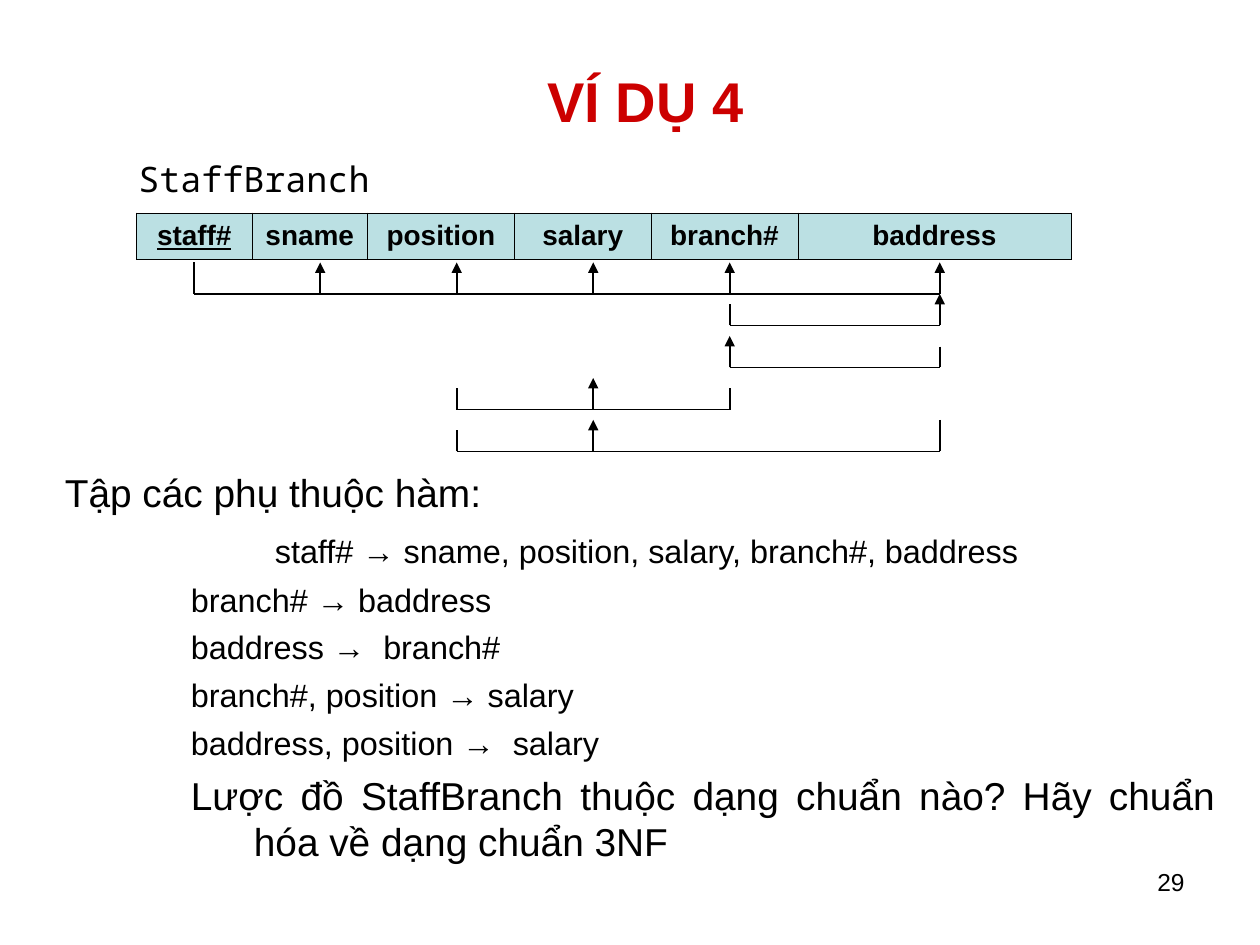
from lxml import etree
from pptx import Presentation
from pptx.dml.color import RGBColor
from pptx.enum.shapes import MSO_CONNECTOR
from pptx.enum.text import MSO_ANCHOR, PP_ALIGN
from pptx.oxml import parse_xml
from pptx.oxml.ns import nsdecls, qn
from pptx.util import Pt

BLACK, RED, TEAL = "000000", "CC0000", "BBE0E3"

# Attribute name, column width and the x where its dependency lines meet it
ATTRIBUTES = [
    ("staff#", 66, 111),
    ("sname", 66, 183),
    ("position", 84, 261),
    ("salary", 78, 339),
    ("branch#", 84, 417),
    ("baddress", 156, 537),
]
ANCHOR_X = {name: x for name, _, x in ATTRIBUTES}

# Base line y, determinants with their tick heights, dependent attributes
DEPENDENCIES = [
    (168, {"staff#": 18}, ["sname", "position", "salary", "branch#", "baddress"]),
    (186, {"branch#": 12}, ["baddress"]),
    (210, {"baddress": 12}, ["branch#"]),
    (234, {"position": 12, "branch#": 12}, ["salary"]),
    (258, {"position": 12, "baddress": 18}, ["salary"]),
]
ARROW_HEIGHT = 18

# Paragraph formats: text size, left margin, first-line indent, spacing, alignment
HEADING = dict(size=22.2, margin=48, indent=-48, before=3, after=3)
FIRST_RULE = dict(size=18.5, margin=120, before=6.5, after=3)
RULE = dict(size=18.5, margin=108, indent=-36, before=2.5, after=2.5, align=PP_ALIGN.JUSTIFY)
QUESTION = {**RULE, "size": 22.2, "before": 3, "after": 3}

BODY = [
    ("Tập các phụ thuộc hàm:", HEADING),
    ("staff# → sname, position, salary, branch#, baddress", FIRST_RULE),
    ("branch# → baddress", RULE),
    ("baddress →  branch#", RULE),
    ("branch#, position → salary", RULE),
    ("baddress, position →  salary", RULE),
    ("Lược đồ StaffBranch thuộc dạng chuẩn nào? Hãy chuẩn hóa về dạng chuẩn 3NF", QUESTION),
]


def rgb(color):
    return RGBColor.from_string(color)


def set_attributes(target, values):
    for name, value in values.items():
        setattr(target, name, value)


def write_paragraph(paragraph, text, size, font="Arial", color=BLACK, bold=False,
                    underline=False, align=PP_ALIGN.LEFT, margin=0, indent=0,
                    before=0, after=0):
    run = paragraph.add_run()
    run.text = text
    set_attributes(run.font, dict(size=Pt(size), name=font, bold=bold, underline=underline))
    run.font.color.rgb = rgb(color)
    set_attributes(paragraph, dict(alignment=align, space_before=Pt(before), space_after=Pt(after)))
    properties = paragraph._p.get_or_add_pPr()
    properties.set("marL", str(Pt(margin)))
    properties.set("indent", str(Pt(indent)))


def add_text(slide, box, paragraphs, anchor=MSO_ANCHOR.TOP):
    frame = slide.shapes.add_textbox(*map(Pt, box)).text_frame
    set_attributes(frame, dict(word_wrap=True, vertical_anchor=anchor))
    for index, (text, style) in enumerate(paragraphs):
        paragraph = frame.add_paragraph() if index else frame.paragraphs[0]
        write_paragraph(paragraph, text, **style)


def add_line(slide, start, end, arrow=False):
    line = slide.shapes.add_connector(MSO_CONNECTOR.STRAIGHT, *map(Pt, (*start, *end)))
    line.line.width = Pt(1)
    line.line.color.rgb = rgb(BLACK)
    if arrow:
        etree.SubElement(line.line._get_or_add_ln(), qn("a:tailEnd"), type="triangle")
    etree.SubElement(line._element.spPr, qn("a:effectLst"))


def add_borders(cell, width=0.45):
    properties = cell._tc.get_or_add_tcPr()
    for index, side in enumerate("LRTB"):
        properties.insert(index, parse_xml(
            f'<a:ln{side} {nsdecls("a")} w="{Pt(width)}"><a:solidFill>'
            f'<a:srgbClr val="{BLACK}"/></a:solidFill></a:ln{side}>'))


def add_relation(slide, left, top, height):
    width = sum(column for _, column, _ in ATTRIBUTES)
    table = slide.shapes.add_table(
        1, len(ATTRIBUTES), *map(Pt, (left, top, width, height))).table
    set_attributes(table, dict(first_row=False, horz_banding=False))
    for index, (name, column, _) in enumerate(ATTRIBUTES):
        table.columns[index].width = Pt(column)
        cell = table.cell(0, index)
        cell.vertical_anchor = MSO_ANCHOR.MIDDLE
        add_borders(cell)
        cell.fill.solid()
        cell.fill.fore_color.rgb = rgb(TEAL)
        write_paragraph(cell.text_frame.paragraphs[0], name, 16, bold=True,
                        underline=index == 0, align=PP_ALIGN.CENTER)


def add_dependency(slide, base, determinants, dependents):
    ends = [ANCHOR_X[name] for name in (*determinants, *dependents)]
    add_line(slide, (min(ends), base), (max(ends), base))
    for name, tick in determinants.items():
        add_line(slide, (ANCHOR_X[name], base - tick), (ANCHOR_X[name], base))
    for name in dependents:
        add_line(slide, (ANCHOR_X[name], base), (ANCHOR_X[name], base - ARROW_HEIGHT), arrow=True)


def main():
    deck = Presentation()
    set_attributes(deck, dict(slide_width=Pt(720), slide_height=Pt(540)))
    slide = deck.slides.add_slide(deck.slide_layouts[6])

    # Title and list of functional dependencies
    title_style = dict(size=32, color=RED, bold=True, align=PP_ALIGN.CENTER)
    add_text(slide, (18, 12, 702, 90), [("VÍ DỤ 4", title_style)], MSO_ANCHOR.MIDDLE)
    add_text(slide, (30, 264, 672, 240), BODY)

    # Relation with its name
    add_relation(slide, 78, 121.7, 26.7)
    add_text(slide, (72, 90, 160, 24), [("StaffBranch", dict(size=20, font="Noto Sans Mono"))],
             MSO_ANCHOR.MIDDLE)

    # Dependency diagram
    for dependency in DEPENDENCIES:
        add_dependency(slide, *dependency)

    # Page number
    add_text(slide, (516, 492, 168, 37.5), [("29", dict(size=14, align=PP_ALIGN.RIGHT))])

    deck.save("out.pptx")


if __name__ == "__main__":
    main()
